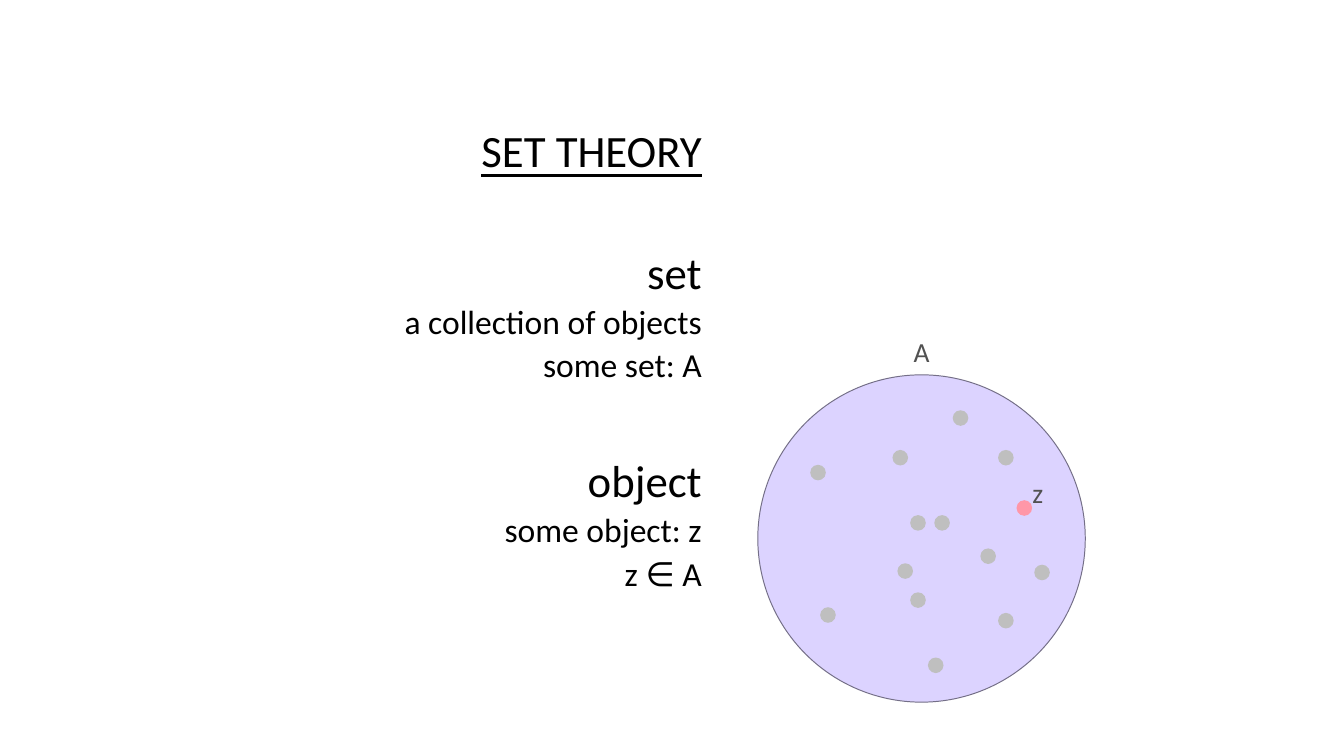
"""Build a slide that introduces sets and objects."""
from pptx import Presentation
from pptx.dml.color import RGBColor
from pptx.enum.shapes import MSO_SHAPE as Shape
from pptx.enum.text import MSO_ANCHOR as Anchor, MSO_AUTO_SIZE as AutoSize, PP_ALIGN as Align
from pptx.util import Emu, Pt

PX = 9144
COLORS = {"text": "000000", "label": "515151", "set": "DCD3FF",
          "outline": "746F87", "dot": "BFBFBF", "object": "FF97A8"}
HEADING = {"size": Pt(56.9), "underline": True}
TERM = {"size": Pt(45.5)}
DETAIL = {"size": Pt(34.1)}
LABEL = {"size": Pt(28)}
TERM_LAYOUT = {"level": 1, "alignment": Align.RIGHT, "space_before": Pt(69.7)}
DETAIL_LAYOUT = {"level": 2, "alignment": Align.RIGHT, "space_before": Pt(7.1),
                 "line_spacing": 0.9}
DEFINITIONS = [("set", ["a collection of objects", "some set: A"]),
               ("object", ["some object: z", "z ∈ A"])]
DOT_SIZE = 22
DOTS = [(1284, 836), (1259, 635), (1383, 774), (1318, 727), (1143, 656),
        (1266, 795), (1459, 797), (1309, 928), (1284, 727), (1408, 865),
        (1408, 635), (1344, 579), (1157, 857)]


class SlideBuilder:
    def __init__(self, deck):
        self.font = "Calibri"
        self.page = deck.slides.add_slide(deck.slide_layouts[5])

    def color(self, name):
        return RGBColor.from_string(COLORS[name])

    def apply(self, target, values):
        for name, value in values.items():
            setattr(target, name, value)

    def prepare(self, box):
        frame = box.text_frame
        self.apply(frame, {"word_wrap": True, "auto_size": AutoSize.NONE,
                           "vertical_anchor": Anchor.TOP, "margin_left": 0,
                           "margin_top": 0, "margin_right": 0, "margin_bottom": 0})
        return frame

    def add_span(self, para, text, font, layout, color="text"):
        self.apply(para, layout)
        span = para.add_run()
        span.text = text
        self.apply(span.font, {"name": self.font, **font})
        span.font.color.rgb = self.color(color)
        return span

    def title(self, text, left, top, width, height):
        box = self.page.shapes.title
        self.apply(box, {"left": Emu(left * PX), "top": Emu(top * PX),
                         "width": Emu(width * PX), "height": Emu(height * PX)})
        para = self.prepare(box).paragraphs[0]
        span = self.add_span(para, text, HEADING, {"alignment": Align.RIGHT})
        span._r.get_or_add_rPr().set("cap", "small")

    def text_box(self, left, top, width, height):
        box = self.page.shapes.add_textbox(*(Emu(n * PX) for n in (left, top, width, height)))
        return self.prepare(box)

    def definitions(self, left, top, width, height):
        frame = self.text_box(left, top, width, height)
        for index, (term, details) in enumerate(DEFINITIONS):
            para = frame.add_paragraph() if index else frame.paragraphs[0]
            layout = TERM_LAYOUT if index else {**TERM_LAYOUT, "space_before": Pt(0)}
            self.add_span(para, term, TERM, layout)
            for detail in details:
                self.add_span(frame.add_paragraph(), detail, DETAIL, DETAIL_LAYOUT)

    def label(self, text, left, top, width, height):
        para = self.text_box(left, top, width, height).paragraphs[0]
        self.add_span(para, text, LABEL, {"alignment": Align.CENTER}, "label")

    def circle(self, left, top, size, fill, line=None):
        shape = self.page.shapes.add_shape(
            Shape.OVAL, *(Emu(n * PX) for n in (left, top, size, size)))
        shape.shadow.inherit = False
        shape.fill.solid()
        shape.fill.fore_color.rgb = self.color(fill)
        if line:
            shape.line.color.rgb = self.color(line)
            shape.line.width = Pt(1)
        else:
            shape.line.fill.background()


def main():
    deck = Presentation()
    deck.slide_width, deck.slide_height = Emu(1896 * PX), Emu(1067 * PX)
    slide = SlideBuilder(deck)
    slide.title("set theory", 0, 158, 990, 80)
    slide.definitions(0, 345, 990, 510)
    slide.circle(1069, 529, 462, "set", "outline")
    slide.label("A", 1284, 473, 32, 47)
    slide.label("z", 1446, 672, 36, 47)
    slide.circle(1434, 706, DOT_SIZE, "object")
    for left, top in DOTS:
        slide.circle(left, top, DOT_SIZE, "dot")
    deck.save("out.pptx")


if __name__ == "__main__":
    main()
